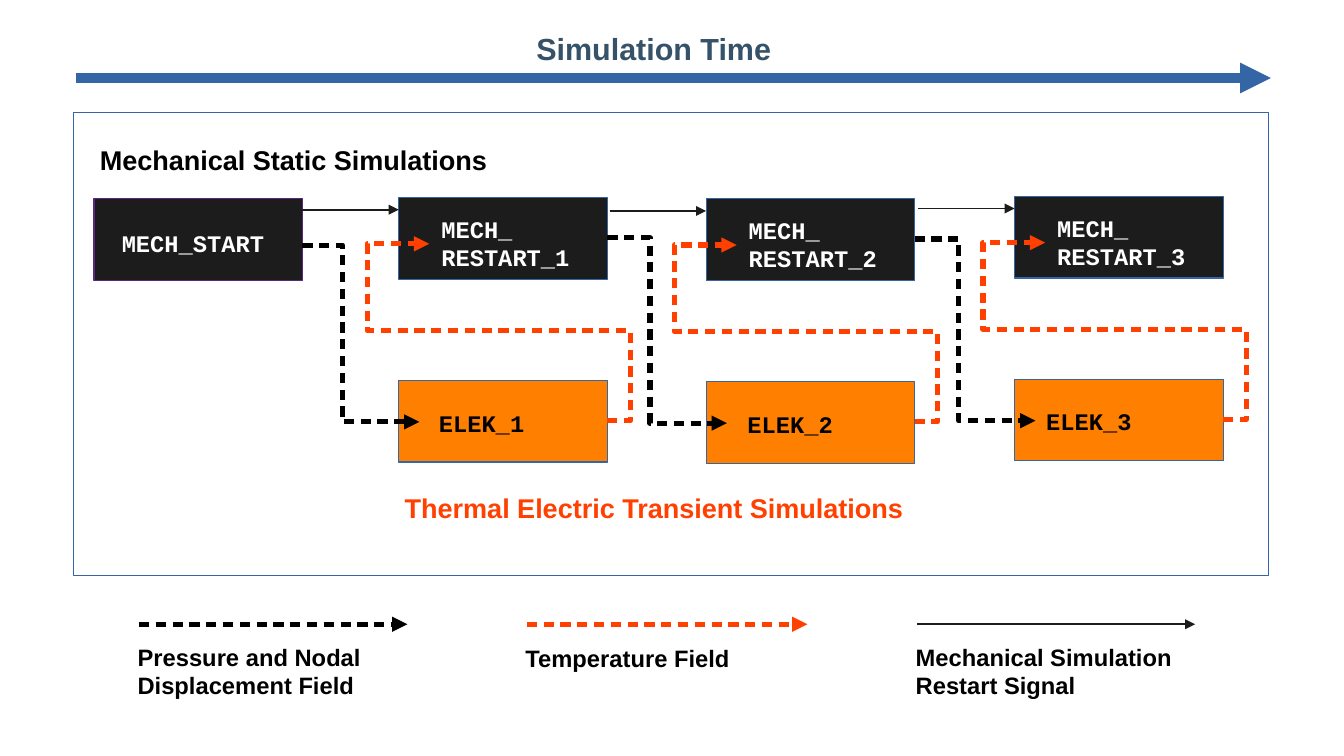
from lxml.etree import SubElement
from pptx import Presentation
from pptx.dml.color import RGBColor
from pptx.enum.shapes import MSO_CONNECTOR, MSO_SHAPE
from pptx.oxml.ns import qn
from pptx.util import Inches, Pt

BLACK = RGBColor(0, 0, 0)
WHITE = RGBColor(255, 255, 255)
DARK = RGBColor(0x1C, 0x1C, 0x1C)
RED = RGBColor(0xFF, 0x40, 0x00)
ORANGE = RGBColor(0xFF, 0x80, 0x00)
BLUE = RGBColor(0x34, 0x65, 0xA4)
SLATE = RGBColor(0x35, 0x52, 0x69)
PURPLE = RGBColor(0x5B, 0x27, 0x7D)

RECT = MSO_SHAPE.RECTANGLE
STRAIGHT = MSO_CONNECTOR.STRAIGHT
ELBOW = MSO_CONNECTOR.ELBOW

COLS, ROWS = 110.2, 62  # grid cells across and down the slide
BOX_W, BOX_H = 17.1, 6.7
DROP = 15  # rows from a mechanical box to the electric box below it

TITLE = {"name": "Arial", "size": Pt(18), "bold": True}
HEAD = {**TITLE, "size": Pt(16)}
NOTE = {**TITLE, "size": Pt(14)}
CODE = {**NOTE, "name": "Courier New"}

# left, top, row where the pressure arrow starts, indent of the electric label
STEPS = [(32.7, 16.2, 20.1, 2.3), (57.9, 16.3, 19.5, 2.4), (83.2, 16.1, 19.6, 1.6)]

# left, right, colour, line width, dashed, text top, text width, text
KEYS = [
    (11.4, 33.4, BLACK, 3, True, 52.2, 21, "Pressure and Nodal Displacement Field"),
    (43.2, 66.2, RED, 3, True, 52.3, 21, "Temperature Field"),
    (75.2, 98, DARK, 1, False, 52.2, 23, "Mechanical Simulation Restart Signal"),
]


def cells(*counts):
    """Turn grid cells into slide lengths."""
    return [Inches(n / 10) for n in counts]


def box(shapes, left, top, wide, high, fill, edge):
    rect = shapes.add_shape(RECT, *cells(left, top, wide, high))
    rect.shadow.inherit = False
    if fill is None:
        rect.fill.background()
    else:
        rect.fill.solid()
        rect.fill.fore_color.rgb = fill
    rect.line.color.rgb = edge
    rect.line.width = Pt(0)


def label(shapes, left, top, wide, high, text, color, style):
    frame = shapes.add_textbox(*cells(left, top, wide, high)).text_frame
    frame.word_wrap = True
    frame.text = text
    for para in frame.paragraphs:
        for key, value in style.items():
            setattr(para.font, key, value)
        para.font.color.rgb = color


def arrow(shapes, start, end, color, width, dashed=False, turns=()):
    """Draw an arrow; turns are the columns and rows, by turns, where it bends."""
    kind = ELBOW if turns else STRAIGHT
    link = shapes.add_connector(kind, *cells(*start, *end))
    link.line.color.rgb = color
    link.line.width = Pt(width)
    props = link._element.spPr
    if turns:
        geom = props.find(qn("a:prstGeom"))
        geom.set("prst", f"bentConnector{len(turns) + 2}")
        guides = geom.find(qn("a:avLst"))
        for i, turn in enumerate(turns):
            a, b = start[i % 2], end[i % 2]
            share = round((turn - a) / (b - a) * 100000)
            SubElement(guides, qn("a:gd"), name=f"adj{i + 1}", fmla=f"val {share}")
    line = props.find(qn("a:ln"))
    if dashed:
        dash = SubElement(line, qn("a:custDash"))
        SubElement(dash, qn("a:ds"), d="200000", sp="130000")
    SubElement(line, qn("a:tailEnd"), type="triangle")
    SubElement(props, qn("a:effectLst"))


def step(shapes, num, left, top, begin, indent):
    """Draw one restart with its electric run and the three arrows."""
    prev = STEPS[num - 2][0] + BOX_W if num > 1 else 24.8
    box(shapes, left, top + DROP, BOX_W, BOX_H, ORANGE, BLUE)
    box(shapes, left, top, BOX_W, BOX_H, DARK, BLUE)
    arrow(shapes, (left + BOX_W, top + 18.3), (left + 2.5, top + 3.8), RED, 3, True,
          (left + 19, top + 10.9, left - 2.6))
    arrow(shapes, (prev, begin), (left + 1.7, top + 18.4), BLACK, 3, True,
          (left - 4.6,))
    arrow(shapes, (left - 7.9, top + 1), (left, top + 1), DARK, 1)
    label(shapes, left + 2.5, top + 0.9, 13.8, 5.9, f"MECH_\nRESTART_{num}", WHITE, CODE)
    label(shapes, left + indent, top + 16.8, 12, 3.2, f"ELEK_{num}", BLACK, CODE)


def main():
    deck = Presentation()
    deck.slide_width, deck.slide_height = cells(COLS, ROWS)
    shapes = deck.slides.add_slide(deck.slide_layouts[6]).shapes

    box(shapes, 6, 9.2, 98, 38, None, BLUE)
    arrow(shapes, (6.2, 6.4), (104.2, 6.4), BLUE, 6)
    label(shapes, 43, 2, 22, 6.6, "Simulation Time", SLATE, TITLE)
    label(shapes, 7.2, 11.3, 35, 5.9, "Mechanical Static Simulations", BLACK, HEAD)
    label(shapes, 32.2, 39.8, 44.8, 5.9, "Thermal Electric Transient Simulations", RED, HEAD)

    box(shapes, 7.7, 16.3, BOX_W, BOX_H, DARK, PURPLE)
    label(shapes, 9, 18.3, 15.8, 3.6, "MECH_START", WHITE, CODE)
    for num, spot in enumerate(STEPS, 1):
        step(shapes, num, *spot)

    for left, right, color, width, dashed, top, wide, text in KEYS:
        arrow(shapes, (left, 51.2), (right, 51.2), color, width, dashed)
        label(shapes, left - 1.1, top, wide, 6, text, BLACK, NOTE)

    deck.save("out.pptx")


if __name__ == "__main__":
    main()
